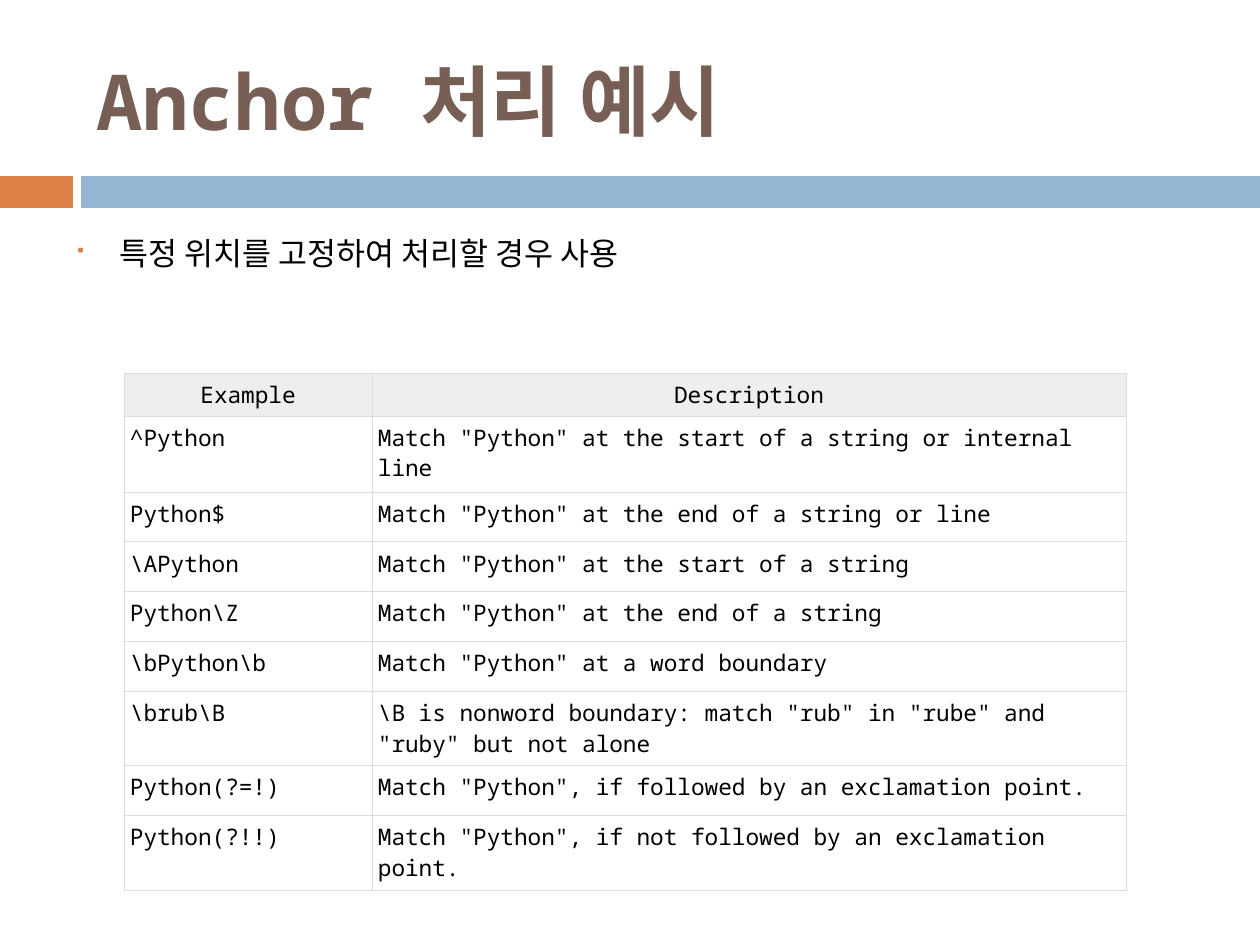
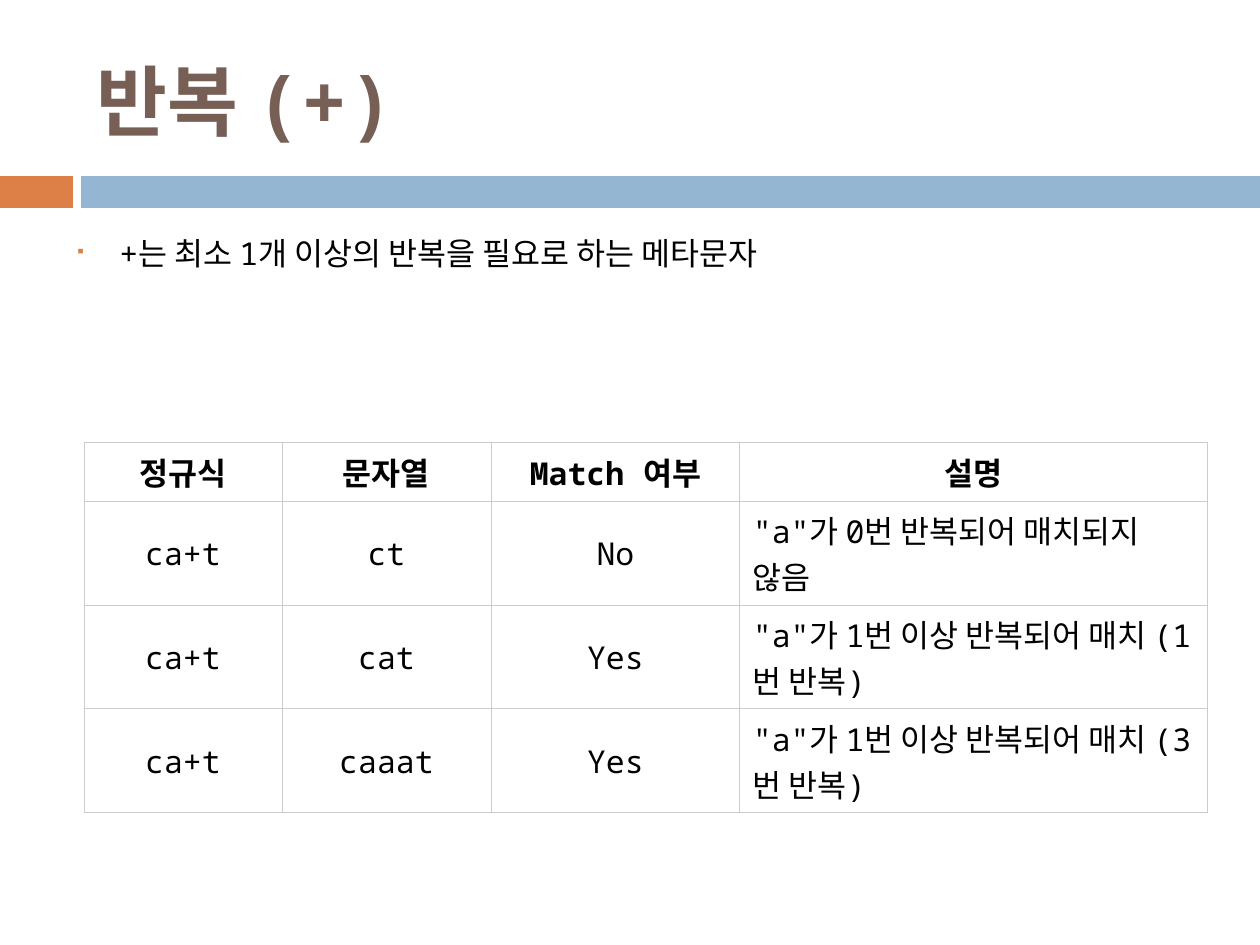
from lxml.etree import SubElement
from pptx import Presentation
from pptx.dml.color import RGBColor
from pptx.enum.shapes import MSO_SHAPE
from pptx.enum.text import MSO_ANCHOR, PP_ALIGN
from pptx.oxml.ns import qn
from pptx.util import Emu, Pt

FONT = "Noto Sans Mono"
BROWN, ORANGE, BLUE, BLACK = "775F55", "DD8047", "94B6D2", "000000"
LEFT, CENTER = PP_ALIGN.LEFT, PP_ALIGN.CENTER
TOP, MIDDLE = MSO_ANCHOR.TOP, MSO_ANCHOR.MIDDLE

# Bands under the title: left, top, width, height, fill
BANDS = [(0, 176, 73, 32, ORANGE), (81, 176, 1179, 32, BLUE)]

# Content, lengths in px
SLIDES = [
    {
        "title": "Anchor 처리 예시",
        "point": "특정 위치를 고정하여 처리할 경우 사용",
        "deep": 123,
        "table": {
            "at": (124, 373), "cols": [248, 754],
            "rows": [43, 76, 50, 50, 50, 50, 74, 50, 75],
            "aligns": [LEFT, LEFT], "anchor": TOP, "pad": (6, 6),
            "size": 13, "bold": False, "line": "DDDDDD",
            "head": "EEEEEE", "fill": None,
            "cells": [
                ("Example", "Description"),
                ("^Python", 'Match "Python" at the start of a string or internal line'),
                ("Python$", 'Match "Python" at the end of a string or line'),
                ("\\APython", 'Match "Python" at the start of a string'),
                ("Python\\Z", 'Match "Python" at the end of a string'),
                ("\\bPython\\b", 'Match "Python" at a word boundary'),
                ("\\brub\\B", '\\B is nonword boundary: match "rub" in "rube" and "ruby" but not alone'),
                ("Python(?=!)", 'Match "Python", if followed by an exclamation point.'),
                ("Python(?!!)", 'Match "Python", if not followed by an exclamation point.'),
            ],
        },
    },
    {
        "title": "반복 (+)",
        "point": "+는 최소 1개 이상의 반복을 필요로 하는 메타문자",
        "deep": 183,
        "table": {
            "at": (84, 442), "cols": [198, 209, 249, 468],
            "rows": [59, 104, 104, 104],
            "aligns": [CENTER, CENTER, CENTER, LEFT], "anchor": MIDDLE, "pad": (13, 6),
            "size": 18, "bold": True, "line": "CCCCCC",
            "head": "FFFFFF", "fill": "FFFFFF",
            "cells": [
                ("정규식", "문자열", "Match 여부", "설명"),
                ("ca+t", "ct", "No", '"a"가 0번 반복되어 매치되지 않음'),
                ("ca+t", "cat", "Yes", '"a"가 1번 이상 반복되어 매치 (1번 반복)'),
                ("ca+t", "caaat", "Yes", '"a"가 1번 이상 반복되어 매치 (3번 반복)'),
            ],
        },
    },
]


def px(n):
    return Emu(round(n * 914400 / 126))


def paint(fill, tone):
    if tone is None:
        fill.background()
    else:
        fill.solid()
        fill.fore_color.rgb = RGBColor.from_string(tone)


def write(frame, text, size=18, tone=BLACK, bold=False, align=LEFT):
    frame.word_wrap = True
    para = frame.paragraphs[0]
    para.alignment = align
    run = para.add_run()
    run.text = text
    font = run.font
    font.size, font.bold, font.name = Pt(size), bold, FONT
    font.color.rgb = RGBColor.from_string(tone)
    return para


def box(slide, *at):
    return slide.shapes.add_textbox(*map(px, at)).text_frame


def bullet(para):
    para.line_spacing = 1.2
    para.space_before = Pt(7)
    props = para._p.get_or_add_pPr()
    props.set("marL", str(px(44)))
    props.set("indent", str(px(-44)))
    SubElement(SubElement(props, qn("a:buClr")), qn("a:srgbClr"), val=ORANGE)
    SubElement(props, qn("a:buSzPct"), val="45000")
    SubElement(props, qn("a:buChar"), char="▪")


def border(cell, tone):
    props = cell._tc.get_or_add_tcPr()
    for side in "LRTB":
        line = SubElement(props, qn("a:ln" + side), w=str(Pt(0.6)))
        SubElement(SubElement(line, qn("a:solidFill")), qn("a:srgbClr"), val=tone)


def grid(slide, spec):
    cols, rows = spec["cols"], spec["rows"]
    size = map(px, (*spec["at"], sum(cols), sum(rows)))
    table = slide.shapes.add_table(len(rows), len(cols), *size).table
    table.first_row = table.horz_banding = False
    for col, wide in zip(table.columns, cols):
        col.width = px(wide)
    for row, high in zip(table.rows, rows):
        row.height = px(high)
    side, edge = map(px, spec["pad"])
    for r, texts in enumerate(spec["cells"]):
        head = r == 0
        for c, text in enumerate(texts):
            cell = table.cell(r, c)
            cell.margin_left = cell.margin_right = side
            cell.margin_top = cell.margin_bottom = edge
            cell.vertical_anchor = spec["anchor"]
            border(cell, spec["line"])
            paint(cell.fill, spec["head"] if head else spec["fill"])
            write(cell.text_frame, text, size=spec["size"], bold=head and spec["bold"],
                  align=CENTER if head else spec["aligns"][c])


def build(deck, page):
    slide = deck.slides.add_slide(deck.slide_layouts[6])
    # Bands
    for *at, tone in BANDS:
        band = slide.shapes.add_shape(MSO_SHAPE.RECTANGLE, *map(px, at))
        band.shadow.inherit = False
        paint(band.fill, tone)
        band.line.fill.background()
    # Title
    title = box(slide, 84, 32, 1124, 136)
    title.vertical_anchor = MIDDLE
    write(title, page["title"], size=44, tone=BROWN, bold=True)
    # Point and table
    bullet(write(box(slide, 63, 220, 1134, page["deep"]), page["point"]))
    grid(slide, page["table"])


def main():
    deck = Presentation()
    deck.slide_width, deck.slide_height = px(1260), px(945)
    for page in SLIDES:
        build(deck, page)
    deck.save("out.pptx")


if __name__ == "__main__":
    main()
